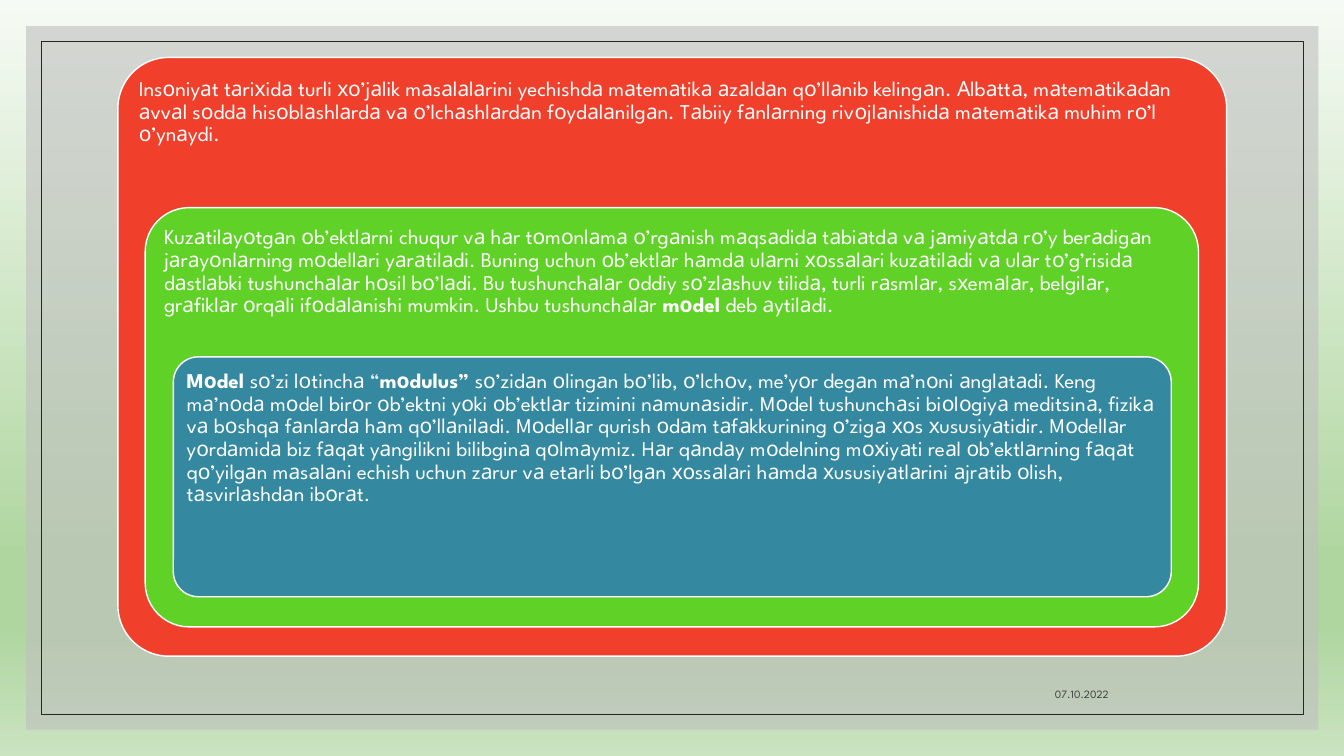
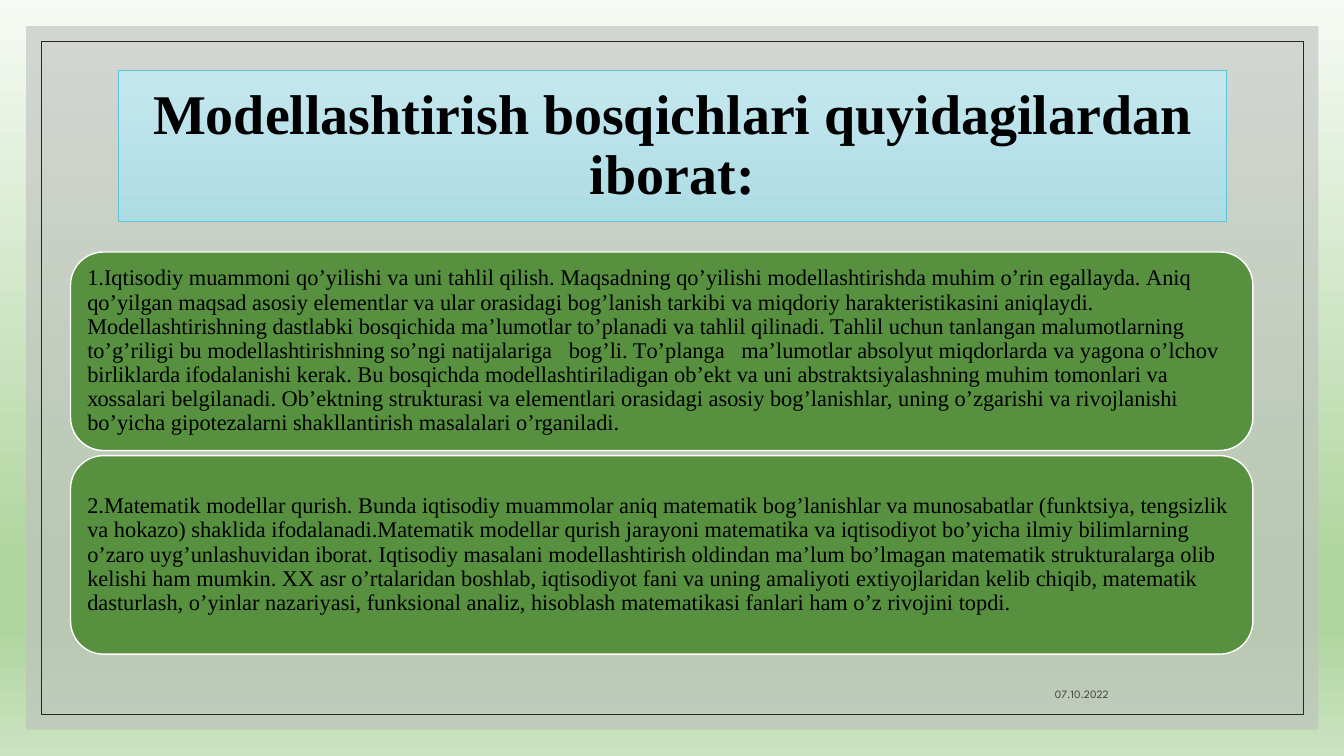
from lxml.etree import SubElement
from pptx import Presentation
from pptx.dml.color import RGBColor
from pptx.enum.shapes import MSO_SHAPE
from pptx.enum.text import MSO_ANCHOR, MSO_AUTO_SIZE, PP_ALIGN
from pptx.oxml.ns import qn
from pptx.util import Emu, Pt

PX = 9144  # 100 px to the inch
COLOURS = {
    "panel": "BFBFBF", "frame": "262626", "white": "FFFFFF", "black": "000000",
    "date": "404040", "red": "F03F2B", "green": "60D127", "blue": "3488A0",
    "stage": "57903F", "title_line": "5CC6D6",
}
PAGE_GRADIENT = [(0, "F6FAF4"), (74, "B0D6A0"), (83, "B0D6A0"), (100, "CAE3C0")]
TITLE_GRADIENT = [(0, "C4E7EE"), (100, "ADDCE5")]
SANS, SERIF = "League Spartan", "Times New Roman"

DATE = "07.10.2022"
TITLE = "Mоdellаshtirish bоsqichlаri quyidаgilаrdаn ibоrаt:"

# Nested cards: fill, corner ratio, text with **bold** parts
NESTED = [
    ("red", 0.085,
     "Insоniyаt tаriхidа turli хо’jаlik mаsаlаlаrini yechishdа mаtemаtikа аzаldаn "
     "qо’llаnib kelingаn. Аlbаttа, mаtemаtikаdаn аvvаl sоddа hisоblаshlаrdа vа "
     "о’lchаshlаrdаn fоydаlаnilgаn. Tаbiiy fаnlаrning rivоjlаnishidа mаtemаtikа "
     "muhim rо’l о’ynаydi."),
    ("green", 0.105,
     "Kuzаtilаyоtgаn оb’ektlаrni chuqur vа hаr tоmоnlаmа о’rgаnish mаqsаdidа "
     "tаbiаtdа vа jаmiyаtdа rо’y berаdigаn jаrаyоnlаrning mоdellаri yаrаtilаdi. "
     "Buning uchun оb’ektlаr hаmdа ulаrni хоssаlаri kuzаtilаdi vа ulаr "
     "tо’g’risidа dаstlаbki tushunchаlаr hоsil bо’lаdi. Bu tushunchаlаr оddiy "
     "sо’zlаshuv tilidа, turli rаsmlаr, sхemаlаr, belgilаr, grаfiklаr оrqаli "
     "ifоdаlаnishi mumkin. Ushbu tushunchаlаr **mоdel **deb аytilаdi."),
    ("blue", 0.105,
     "**Mоdel **sо’zi lоtinchа “**mоdulus” **sо’zidаn оlingаn bо’lib, о’lchоv, "
     "me’yоr degаn mа’nоni аnglаtаdi. Keng mа’nоdа mоdel birоr оb’ektni yоki "
     "оb’ektlаr tizimini nаmunаsidir. Mоdel tushunchаsi biоlоgiyа meditsinа, "
     "fizikа vа bоshqа fаnlаrdа hаm qо’llаnilаdi. Mоdellаr qurish оdаm "
     "tаfаkkurining о’zigа хоs хususiyаtidir. Mоdellаr yоrdаmidа biz fаqаt "
     "yаngilikni bilibginа qоlmаymiz. Hаr qаndаy mоdelning mохiyаti reаl "
     "оb’ektlаrning fаqаt qо’yilgаn mаsаlаni echish uchun zаrur vа etаrli "
     "bо’lgаn хоssаlаri hаmdа хususiyаtlаrini аjrаtib оlish, tаsvirlаshdаn ibоrаt."),
]
STAGES = [
    "1.Iqtisоdiy muаmmоni qо’yilishi vа uni tаhlil qilish. Mаqsаdning qо’yilishi "
    "mоdellаshtirishdа muhim о’rin egаllаydа. Аniq qо’yilgаn mаqsаd аsоsiy "
    "elementlаr vа ulаr оrаsidаgi bоg’lаnish tаrkibi vа miqdоriy "
    "hаrаkteristikаsini аniqlаydi. Mоdellаshtirishning dаstlаbki bоsqichidа "
    "mа’lumоtlаr tо’plаnаdi vа tаhlil qilinаdi. Tаhlil uchun tаnlаngаn "
    "mаlumоtlаrning tо’g’riligi bu mоdellаshtirishning sо’ngi nаtijаlаrigа   "
    "bоg’li. Tо’plаngа   mа’lumоtlаr аbsоlyut miqdоrlаrdа vа yаgоnа о’lchоv "
    "birliklаrdа ifоdаlаnishi kerаk. Bu bоsqichdа mоdellаshtirilаdigаn оb’ekt vа "
    "uni аbstrаktsiyаlаshning muhim tоmоnlаri vа хоssаlаri belgilаnаdi. "
    "Оb’ektning strukturаsi vа elementlаri оrаsidаgi аsоsiy bоg’lаnishlаr, uning "
    "о’zgаrishi vа rivоjlаnishi bо’yichа gipоtezаlаrni shаkllаntirish mаsаlаlаri "
    "о’rgаnilаdi.",
    "2.Mаtemаtik mоdellаr qurish. Bundа iqtisоdiy muаmmоlаr аniq mаtemаtik "
    "bоg’lаnishlаr vа munоsаbаtlаr (funktsiyа, tengsizlik vа hоkаzо) shаklidа "
    "ifоdаlаnаdi.Mаtemаtik mоdellаr qurish jаrаyоni mаtemаtikа vа iqtisоdiyоt "
    "bо’yichа ilmiy bilimlаrning о’zаrо uyg’unlаshuvidаn ibоrаt. Iqtisоdiy "
    "mаsаlаni mоdellаshtirish оldindаn mа’lum bо’lmаgаn mаtemаtik strukturаlаrgа "
    "оlib kelishi hаm mumkin. ХХ аsr о’rtаlаridаn bоshlаb, iqtisоdiyоt fаni vа "
    "uning аmаliyоti eхtiyоjlаridаn kelib chiqib, mаtemаtik dаsturlаsh, о’yinlаr "
    "nаzаriyаsi, funksiоnаl аnаliz, hisоblаsh mаtemаtikаsi fаnlаri hаm о’z "
    "rivоjini tоpdi.",
]


def rgb(name):
    return RGBColor.from_string(COLOURS[name])


def set_gradient(fill, stops):
    """Fill from top to bottom with (percent, hex) stops."""
    fill.gradient()
    fill.gradient_angle = 270
    stop_list = fill._xPr.find(qn("a:gradFill")).find(qn("a:gsLst"))
    for old in list(stop_list):
        stop_list.remove(old)
    for percent, colour in stops:
        stop = SubElement(stop_list, qn("a:gs"), pos=str(percent * 1000))
        SubElement(stop, qn("a:srgbClr"), val=colour)


def set_line(shape, colour, width):
    shape.line.color.rgb = rgb(colour)
    shape.line.width = Pt(width)


def add_box(page, kind, box, fill=None, line=None, width=1):
    shape = page.shapes.add_shape(kind, *(Emu(n * PX) for n in box))
    shape.shadow.inherit = False
    if fill:
        shape.fill.solid()
        shape.fill.fore_color.rgb = rgb(fill)
    else:
        shape.fill.background()
    if line:
        set_line(shape, line, width)
    else:
        shape.line.fill.background()
    return shape


def write(shape, text, font, size, colour, anchor, align=PP_ALIGN.LEFT,
          inset=None, bold=False, spacing=0.9):
    """Write one paragraph; parts between ** marks are bold."""
    frame = shape.text_frame
    layout = {"word_wrap": True, "auto_size": MSO_AUTO_SIZE.NONE,
              "vertical_anchor": anchor}
    if inset is not None:
        for side in ("left", "top", "right", "bottom"):
            layout["margin_" + side] = Emu(inset * PX)
    for name, value in layout.items():
        setattr(frame, name, value)
    para = frame.paragraphs[0]
    para.alignment = align
    para.line_spacing = spacing
    for index, part in enumerate(text.split("**")):
        if part:
            span = para.add_run()
            span.text = part
            style = {"name": font, "size": Pt(size), "bold": bold or index % 2 == 1}
            for name, value in style.items():
                setattr(span.font, name, value)
            span.font.color.rgb = rgb(colour)


def style_master(master, page):
    """Give the master its background, panel and frame, drawn first on page."""
    set_gradient(master.background.fill, PAGE_GRADIENT)
    panel = add_box(page, MSO_SHAPE.RECTANGLE, (26, 26, 1282, 698), "panel")
    colour = panel.fill._xPr.find(qn("a:solidFill"))[0]
    SubElement(colour, qn("a:alpha"), val="60000")
    frame = add_box(page, MSO_SHAPE.RECTANGLE, (41, 41, 1252, 668),
                    line="frame", width=0.5)
    for position, shape in enumerate((panel, frame), start=2):
        master.shapes.element.insert(position, shape.element)


def add_date(page):
    box = page.shapes.add_textbox(*(Emu(n * PX) for n in (794, 660, 316, 40)))
    write(box, DATE, SANS, 8, "date", MSO_ANCHOR.BOTTOM, PP_ALIGN.RIGHT, spacing=1.0)


def build_nested(page):
    for level, (fill, corner, text) in enumerate(NESTED):
        box = (117 + 55 * level // 2, 57 + (297 * level + 1) // 2,
               1100 - 55 * level, 594 - 178 * level)
        card = add_box(page, MSO_SHAPE.ROUNDED_RECTANGLE, box, fill, "white")
        card.adjustments[0] = corner
        write(card, text, SANS, 15, "white", MSO_ANCHOR.TOP, inset=6)


def build_stages(page):
    title = page.shapes.title
    place = zip(("left", "top", "width", "height"), (117, 70, 1100, 150))
    for name, value in place:
        setattr(title, name, Emu(value * PX))
    set_gradient(title.fill, TITLE_GRADIENT)
    set_line(title, "title_line", 0.5)
    write(title, TITLE, SERIF, 40, "black", MSO_ANCHOR.MIDDLE, PP_ALIGN.CENTER, bold=True)
    for row, text in enumerate(STAGES):
        card = add_box(page, MSO_SHAPE.ROUNDED_RECTANGLE,
                       (70, 250 + 202 * row, 1173, 197), "stage", "white")
        write(card, text, SERIF, 16, "black", MSO_ANCHOR.MIDDLE, inset=7)


def main():
    deck = Presentation()
    deck.slide_width, deck.slide_height = Emu(12192000), Emu(6858000)
    title_only, blank = deck.slide_layouts[5], deck.slide_layouts[6]
    for number, (layout, build) in enumerate(((blank, build_nested),
                                              (title_only, build_stages))):
        page = deck.slides.add_slide(layout)
        if number == 0:
            style_master(deck.slide_master, page)
        build(page)
        add_date(page)
    deck.save("out.pptx")


if __name__ == "__main__":
    main()
